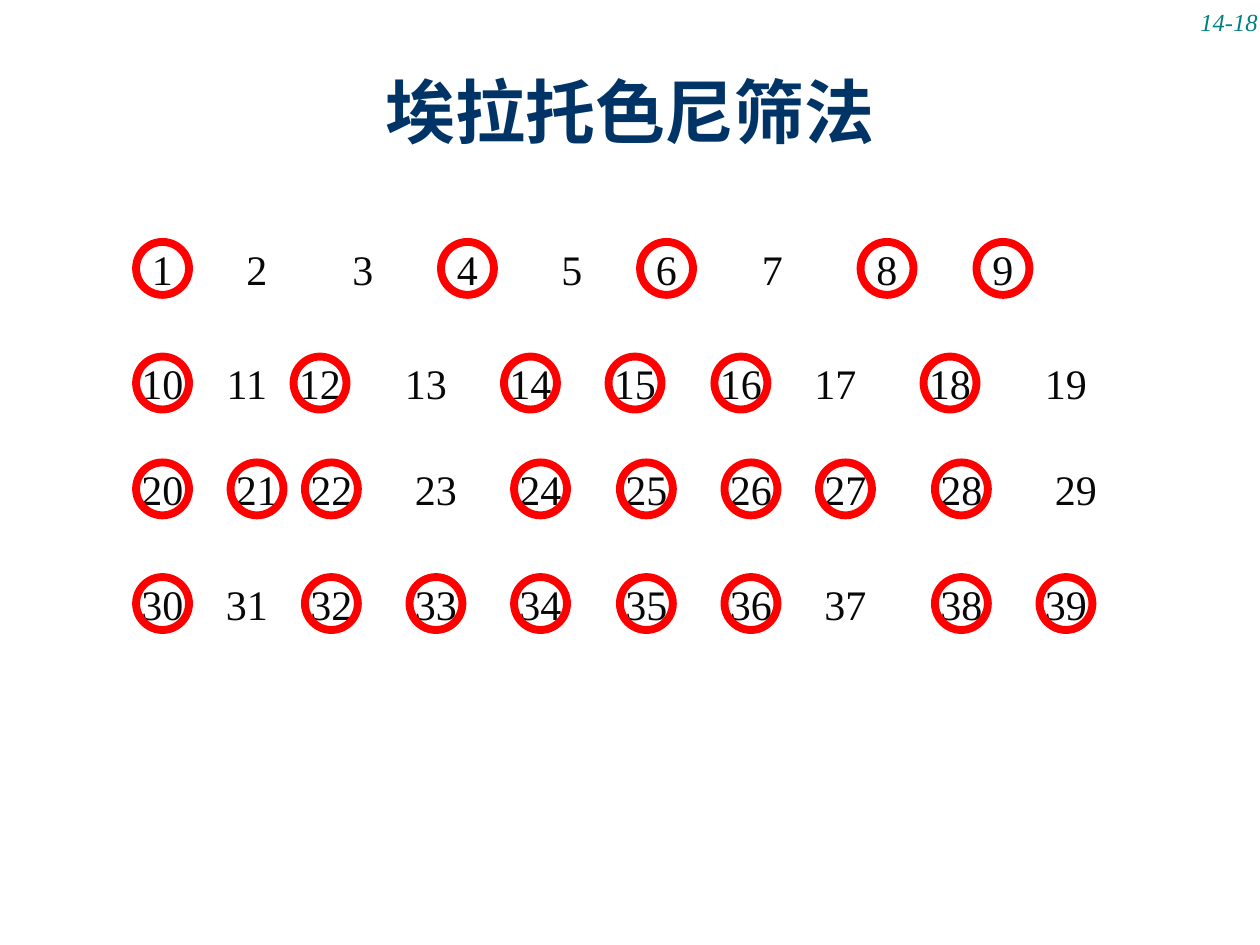
from pptx import Presentation
from pptx.dml.color import RGBColor
from pptx.enum.shapes import MSO_SHAPE
from pptx.enum.text import MSO_ANCHOR, PP_ALIGN
from pptx.util import Inches, Pt

OVAL = MSO_SHAPE.OVAL
MIDDLE, BOTTOM = MSO_ANCHOR.MIDDLE, MSO_ANCHOR.BOTTOM
CENTER, RIGHT = PP_ALIGN.CENTER, PP_ALIGN.RIGHT

SIZE = 0.42
ROWS = [
    (1, 1.92, [1.08, 1.83, 2.67, 3.5, 4.33, 5.08, 5.92, 6.83, 7.75]),
    (10, 2.83, [1.08, 1.75, 2.33, 3.17, 4, 4.83, 5.67, 6.42, 7.33, 8.25]),
    (20, 3.67, [1.08, 1.83, 2.42, 3.25, 4.08, 4.92, 5.75, 6.5, 7.42, 8.33]),
    (30, 4.58, [1.08, 1.75, 2.42, 3.25, 4.08, 4.92, 5.75, 6.5, 7.42, 8.25]),
]


def color(code):
    return RGBColor.from_string(code)


def is_prime(number):
    return number > 1 and all(number % k for k in range(2, number))


class Deck:
    face = "Times New Roman"
    styles = {
        "title": {"size": Pt(40), "bold": True},
        "page": {"size": Pt(14), "italic": True},
        "number": {"size": Pt(24)},
    }
    inks = {"title": "003366", "page": "008080", "number": "080808"}

    def __init__(self, slide):
        self.slide = slide

    def label(self, shape, text, style, align, anchor, wrap=True):
        frame = shape.text_frame
        frame.word_wrap = wrap
        frame.vertical_anchor = anchor
        para = frame.paragraphs[0]
        para.alignment = align
        run = para.add_run()
        run.text = text
        run.font.name = self.face
        run.font.color.rgb = color(self.inks[style])
        for name, value in self.styles[style].items():
            setattr(run.font, name, value)

    def title(self, text, left, top, width, height):
        shape = self.slide.shapes.title
        places = {"left": left, "top": top, "width": width, "height": height}
        for name, value in places.items():
            setattr(shape, name, Inches(value))
        self.label(shape, text, "title", CENTER, MIDDLE)

    def page(self, text, *place):
        box = self.slide.shapes.add_textbox(*map(Inches, place))
        self.label(box, text, "page", RIGHT, BOTTOM)

    def oval(self, left, top):
        place = map(Inches, (left, top, SIZE, SIZE))
        shape = self.slide.shapes.add_shape(OVAL, *place)
        shape.shadow.inherit = False
        shape.fill.background()
        return shape

    def number(self, value, left, top):
        shape = self.oval(left, top)
        shape.line.fill.background()
        self.label(shape, str(value), "number", CENTER, MIDDLE, False)

    def ring(self, left, top):
        line = self.oval(left, top).line
        line.color.rgb = color("FF0000")
        line.width = Pt(4.5)


def main():
    show = Presentation()
    show.slide_width, show.slide_height = Inches(10), Inches(7.5)
    deck = Deck(show.slides.add_slide(show.slide_layouts[5]))
    deck.page("14-18", 9.08, -0.08, 1, 0.42)
    deck.title("埃拉托色尼筛法", 0.5, 0.25, 9, 1.25)
    cells = [
        (value, left, top)
        for first, top, lefts in ROWS
        for value, left in enumerate(lefts, first)
    ]
    for cell in cells:
        deck.number(*cell)
    for value, left, top in cells:
        if not is_prime(value):
            deck.ring(left, top)
    show.save("out.pptx")


if __name__ == "__main__":
    main()
